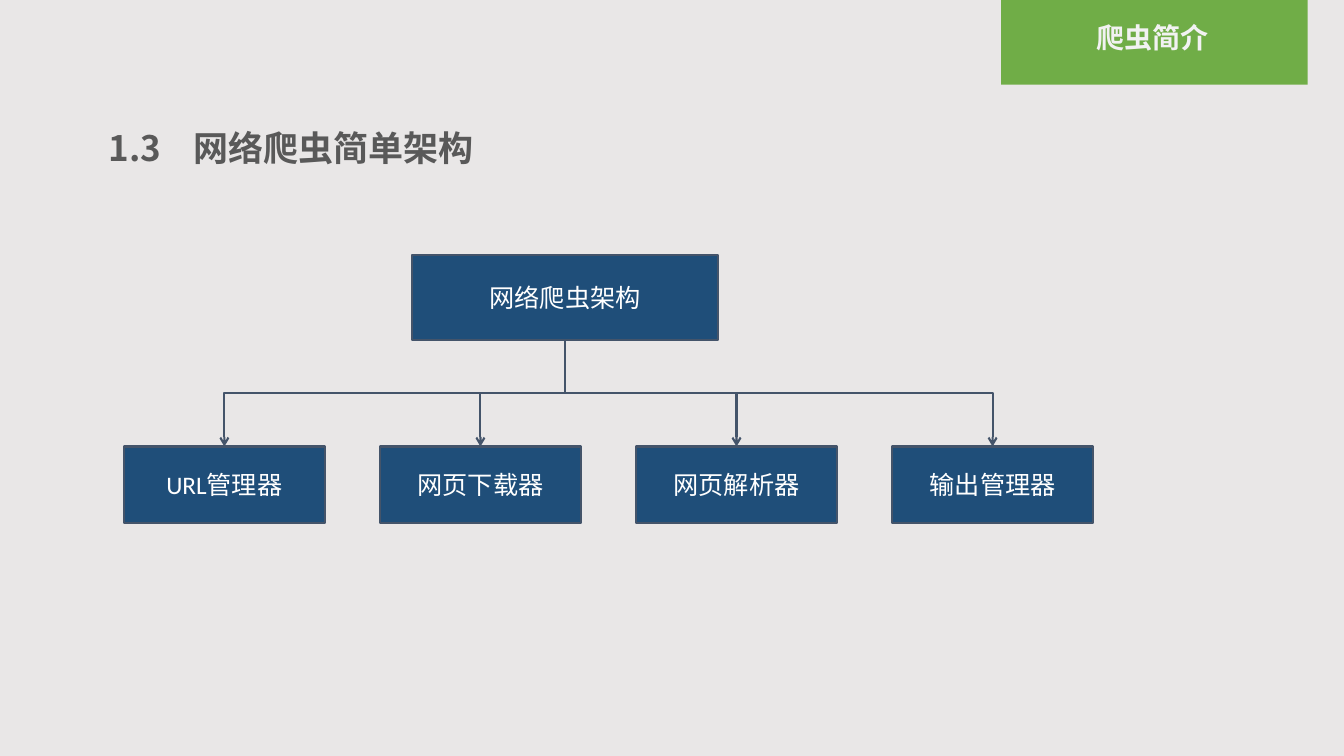
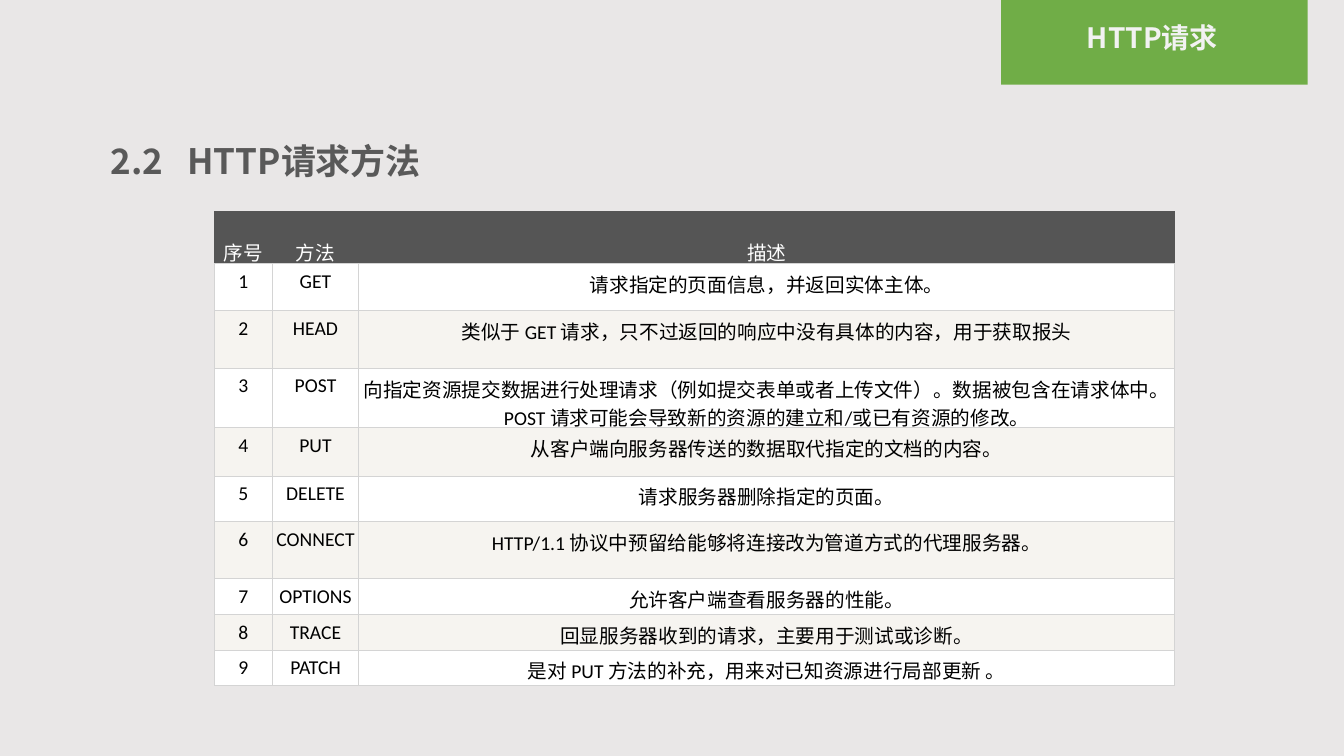
from lxml.etree import SubElement
from pptx import Presentation
from pptx.dml.color import RGBColor
from pptx.enum.shapes import MSO_CONNECTOR, MSO_SHAPE
from pptx.enum.text import MSO_ANCHOR, MSO_AUTO_SIZE, PP_ALIGN
from pptx.oxml.ns import qn
from pptx.util import Inches, Pt

# Content: band label, heading number, heading, left, top, tab stop
HEADS = [
    ("爬虫简介", "1.3", "网络爬虫简单架构", 0.98, 1.2, 0.84),
    ("HTTP请求", "2.2", "HTTP请求方法", 1, 1.33, 0.76),
]
ROOT = "网络爬虫架构"
PARTS = ["URL管理器", "网页下载器", "网页解析器", "输出管理器"]
COLS = ["序号", "方法", "描述"]
ROWS = [
    ("GET", "请求指定的页面信息，并返回实体主体。"),
    ("HEAD", "类似于 GET 请求，只不过返回的响应中没有具体的内容，用于获取报头"),
    ("POST", "向指定资源提交数据进行处理请求（例如提交表单或者上传文件）。"
             "数据被包含在请求体中。POST 请求可能会导致新的资源的建立和/或已有资源的修改。"),
    ("PUT", "从客户端向服务器传送的数据取代指定的文档的内容。"),
    ("DELETE", "请求服务器删除指定的页面。"),
    ("CONNECT", "HTTP/1.1 协议中预留给能够将连接改为管道方式的代理服务器。"),
    ("OPTIONS", "允许客户端查看服务器的性能。"),
    ("TRACE", "回显服务器收到的请求，主要用于测试或诊断。"),
    ("PATCH", "是对 PUT 方法的补充，用来对已知资源进行局部更新 。"),
]
WIDTHS = [0.57, 0.86, 8.09]
HEIGHTS = [0.51, 0.47, 0.57, 0.59, 0.48, 0.45, 0.57, 0.35, 0.34, 0.34]

# Shared look
SANS, BODY = "Noto Sans CJK SC", "Calibri"
PAPER, GREEN, NAVY, SLATE = "E9E7E7", "70AD47", "1F4E79", "44546A"
PALE, GREY, WHITE, BLACK = "F2F2F2", "595959", "FFFFFF", "000000"
DARK, RULE, CREAM = "555555", "D4D4D4", "F6F4F0"


def paint(fill, tint):
    fill.solid()
    fill.fore_color.rgb = RGBColor.from_string(tint)


def style(frame, size, tint, face=BODY, bold=False, align=PP_ALIGN.CENTER):
    for para in frame.paragraphs:
        para.alignment = align
        for run in para.runs:
            font = run.font
            font.size, font.bold, font.name = Pt(size), bold, face
            font.color.rgb = RGBColor.from_string(tint)
            SubElement(font._element, qn("a:ea"), typeface=SANS)


def box(slide, left, top, wide, high, tint, edge=None):
    shape = slide.shapes.add_shape(
        MSO_SHAPE.RECTANGLE, *map(Inches, (left, top, wide, high)))
    shape.shadow.inherit = False
    paint(shape.fill, tint)
    if edge:
        paint(shape.line.fill, edge)
        shape.line.width = Pt(1.5)
    else:
        shape.line.fill.background()
    return shape


def node(slide, text, *place):
    shape = box(slide, *place, NAVY, SLATE)
    frame = shape.text_frame
    frame.text = text
    frame.vertical_anchor = MSO_ANCHOR.MIDDLE
    style(frame, 18, WHITE)
    return shape


def head(slide, label, num, text, left, top, stop):
    tag = slide.shapes.add_textbox(*map(Inches, (9.94, 0.19, 2.98, 0.42)))
    tag.text_frame.word_wrap = True
    tag.text_frame.text = label
    tag.text_frame.paragraphs[0].line_spacing = 0.9
    style(tag.text_frame, 20, PALE, SANS, True)

    title = slide.shapes.title
    title.left, title.top, title.width, title.height = map(
        Inches, (left, top, 7.32, 0.52))
    frame = title.text_frame
    frame.text = f"{num}\t{text}"
    frame.auto_size = MSO_AUTO_SIZE.NONE
    frame.vertical_anchor = MSO_ANCHOR.TOP
    style(frame, 25, GREY, SANS, True, PP_ALIGN.LEFT)
    props = frame.paragraphs[0]._p.get_or_add_pPr()
    tabs = SubElement(props, qn("a:tabLst"))
    SubElement(tabs, qn("a:tab"), pos=str(Inches(stop)), algn="l")


def link(slide, start, end):
    """Elbow arrow that leaves downwards and turns halfway."""
    x1, y1 = start.left + start.width // 2, start.top + start.height
    x2, y2 = end.left + end.width // 2, end.top
    line = slide.shapes.add_connector(MSO_CONNECTOR.ELBOW, x1, y1, x2, y2)
    line.begin_connect(start, 2)
    line.end_connect(end, 0)
    paint(line.line.fill, SLATE)
    line.line.width = Pt(1.5)
    # Turn the frame a quarter so that the first leg is vertical
    wide, high = y2 - y1, abs(x2 - x1)
    line.left, line.top = (x1 + x2 - wide) // 2, (y1 + y2 - high) // 2
    line.width, line.height = wide, high
    props = line._element.spPr
    frame = props.find(qn("a:xfrm"))
    for key in ("flipH", "flipV"):
        frame.attrib.pop(key, None)
    frame.set("rot", "5400000" if x2 < x1 else "16200000")
    if x2 > x1:
        frame.set("flipH", "1")
    SubElement(props.find(qn("a:ln")), qn("a:tailEnd"), type="arrow")
    SubElement(props, qn("a:effectLst"))


def edge(cell, tints):
    props = cell._tc.get_or_add_tcPr()
    for side, tint in zip("LRTB", tints):
        line = SubElement(props, qn(f"a:ln{side}"), w=str(Pt(0.75)))
        fill = SubElement(line, qn("a:solidFill"))
        SubElement(fill, qn("a:srgbClr"), val=tint)


def grid(slide):
    data = [COLS] + [(str(i), *row) for i, row in enumerate(ROWS, 1)]
    table = slide.shapes.add_table(
        len(data), len(COLS), Inches(2.13), Inches(2.1),
        Inches(sum(WIDTHS)), Inches(sum(HEIGHTS))).table
    for col, wide in zip(table.columns, WIDTHS):
        col.width = Inches(wide)
    for i, (row, high, texts) in enumerate(zip(table.rows, HEIGHTS, data)):
        row.height = Inches(high)
        if i == 0:
            side, top, foot = 0.02, 0.26, 0.02
            tint, ink, lines = DARK, WHITE, [DARK] * 3 + [RULE]
        else:
            side, top, foot = 0.04, 0.06, 0.06
            tint, ink, lines = (WHITE if i % 2 else CREAM), BLACK, [RULE] * 4
        for cell, text in zip(row.cells, texts):
            cell.text = text
            cell.margin_left = cell.margin_right = Inches(side)
            cell.margin_top, cell.margin_bottom = Inches(top), Inches(foot)
            edge(cell, lines)
            paint(cell.fill, tint)
            style(cell.text_frame, 14, ink)


def main():
    deck = Presentation()
    deck.slide_width, deck.slide_height = Inches(13.33), Inches(7.5)
    paint(deck.slide_master.background.fill, PAPER)
    plan = deck.slide_layouts[5]
    tree, method = [deck.slides.add_slide(plan) for _ in HEADS]

    # The green band belongs to the layout
    band = box(tree, 9.93, 0, 3.04, 0.84, GREEN)
    plan.shapes.element.append(band.element)
    for slide, words in zip((tree, method), HEADS):
        head(slide, *words)

    # Structure tree
    root = node(tree, ROOT, 4.09, 2.53, 3.03, 0.84)
    for i, text in enumerate(PARTS):
        link(tree, root, node(tree, text, 1.23 + 2.54 * i, 4.43, 1.99, 0.76))

    # Table of methods
    grid(method)
    deck.save("out.pptx")


if __name__ == "__main__":
    main()
